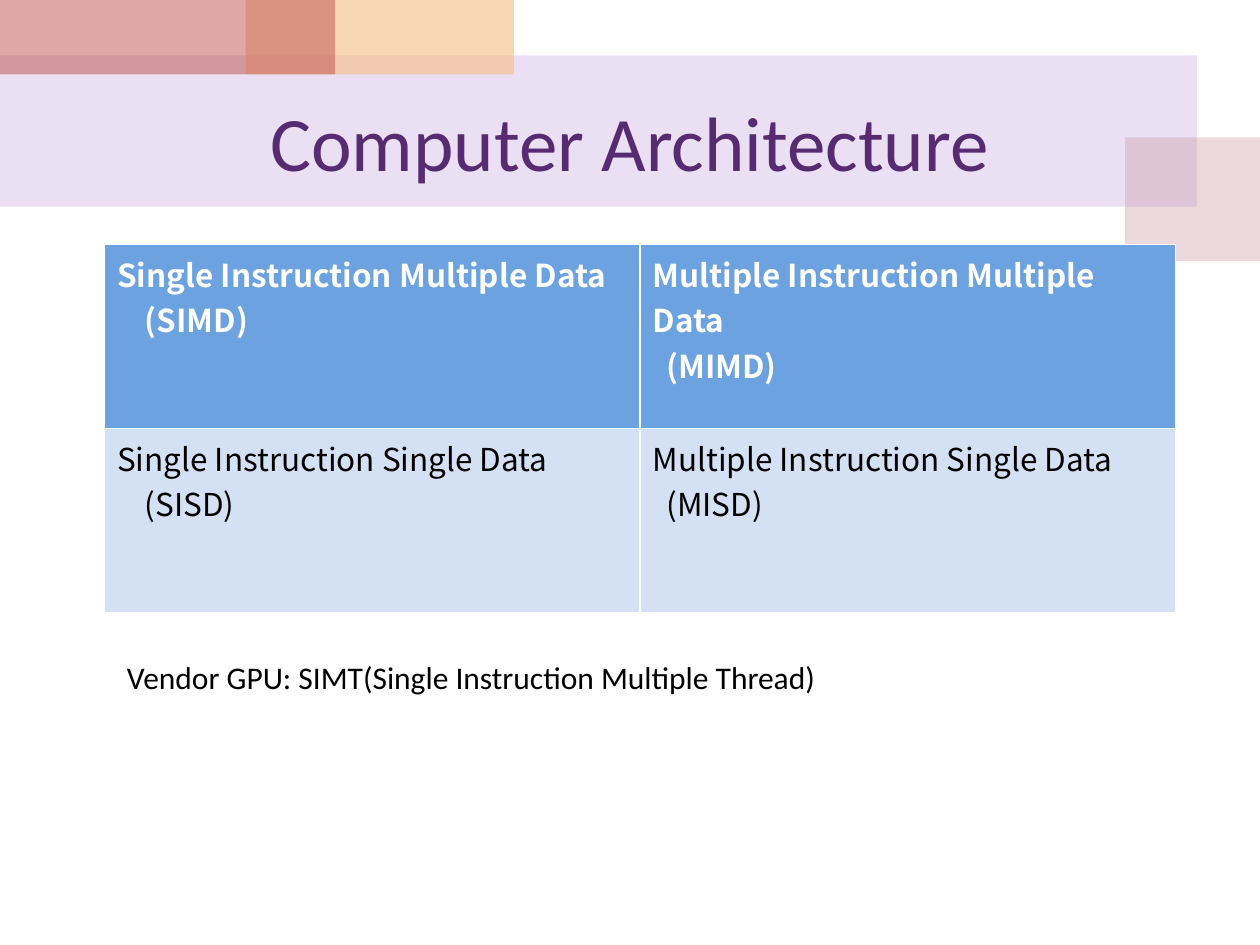
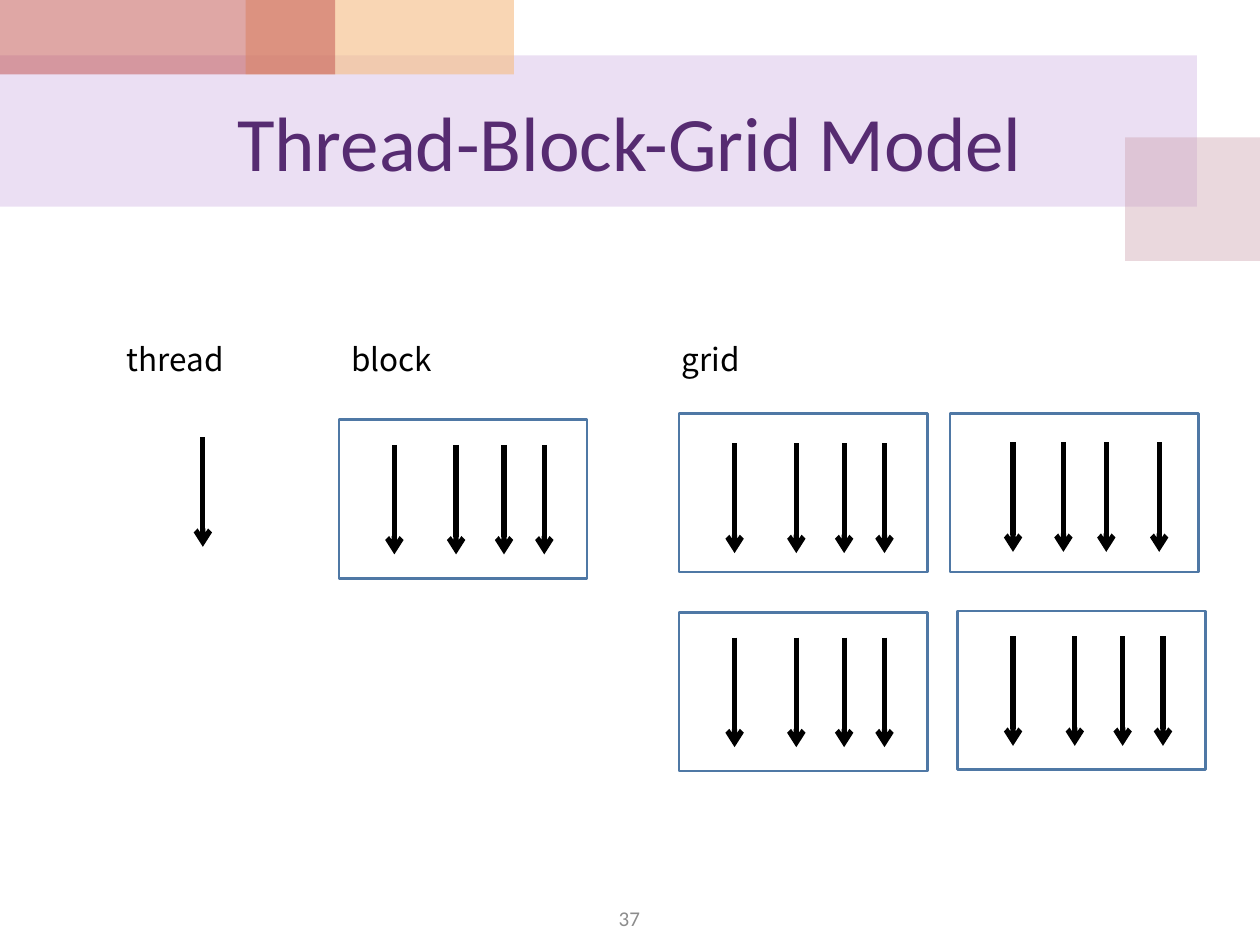
from dataclasses import dataclass

from lxml import etree
from pptx import Presentation
from pptx.dml.color import RGBColor
from pptx.enum.shapes import MSO_CONNECTOR, MSO_SHAPE
from pptx.enum.text import MSO_ANCHOR, PP_ALIGN
from pptx.oxml.ns import qn
from pptx.util import Inches, Pt


@dataclass(frozen=True)
class Theme:
    latin: str = "Calibri"
    body: str = "Noto Sans CJK KR"
    title_size: int = 44
    text_size: int = 18
    footer_size: int = 12
    title: str = "562B71"
    text: str = "000000"
    footer: str = "8C8C8C"
    white: str = "FFFFFF"
    header_fill: str = "6BA2DF"
    cell_fill: str = "D4E0F3"
    block_line: str = "4F78A5"
    lilac: str = "BF98D8"
    rose: str = "CC9EAC"
    peach: str = "F5BC83"
    red: str = "C0504D"


theme = Theme()


def write(para, text, font=theme.body, size=theme.text_size, color=theme.text,
          bold=False, align=PP_ALIGN.LEFT, indent=0):
    para.alignment = align
    if indent:
        para._p.get_or_add_pPr().set("marL", str(Inches(indent)))
    span = para.add_run()
    span.text = text
    span.font.name = font
    span.font.size = Pt(size)
    span.font.bold = bold
    span.font.color.rgb = RGBColor.from_string(color)


def add_arrow(page, x, top, length=0.87):
    arrow = page.shapes.add_connector(
        MSO_CONNECTOR.STRAIGHT, Inches(x), Inches(top), Inches(x), Inches(top + length))
    arrow.line.width = Pt(3)
    arrow.line.color.rgb = RGBColor.from_string(theme.text)
    etree.SubElement(arrow.line._get_or_add_ln(), qn("a:tailEnd"), type="arrow")
    etree.SubElement(arrow.element.spPr, qn("a:effectLst"))


deck = Presentation()
deck.slide_width, deck.slide_height = Inches(10), Inches(7.5)
title_only = deck.slide_layouts[5]

# Titles
pages = []
for heading in ("Computer Architecture", "Thread-Block-Grid Model"):
    page = deck.slides.add_slide(title_only)
    title = page.shapes.title
    title.left, title.top = Inches(0.5), Inches(0.59)
    title.width, title.height = Inches(9), Inches(1.05)
    title.text_frame.vertical_anchor = MSO_ANCHOR.MIDDLE
    write(title.text_frame.paragraphs[0], heading, font=theme.latin,
          size=theme.title_size, color=theme.title, align=PP_ALIGN.CENTER)
    pages.append(page)
architecture, model = pages

# Translucent bands: drawn once, then moved to the back of the shared layout
bands = [
    (0, 0.44, 9.5, 1.2, theme.lilac, 30),
    (8.93, 1.09, 1.07, 0.98, theme.rose, 40),
    (1.95, 0, 2.13, 0.59, theme.peach, 60),
    (0, 0, 2.66, 0.59, theme.red, 50),
]
for order, (left, top, width, height, color, opacity) in enumerate(bands):
    band = architecture.shapes.add_shape(
        MSO_SHAPE.RECTANGLE, Inches(left), Inches(top), Inches(width), Inches(height))
    band.shadow.inherit = False
    band.fill.solid()
    band.fill.fore_color.rgb = RGBColor.from_string(color)
    band.line.fill.background()
    tint = band.element.spPr.find(".//" + qn("a:srgbClr"))
    etree.SubElement(tint, qn("a:alpha"), val=str(opacity * 1000))
    band.element.nvSpPr.cNvPr.set("id", str(100 + order))
    title_only.shapes.element.insert(2 + order, band.element)

# Table of architectures; each cell holds a name and an indented acronym
architectures = [
    [("Single Instruction Multiple Data", "(SIMD)"),
     ("Multiple Instruction Multiple Data", "(MIMD)")],
    [("Single Instruction Single Data", "(SISD)"),
     ("Multiple Instruction Single Data", "(MISD)")],
]
row_styles = [(theme.header_fill, theme.white, True), (theme.cell_fill, theme.text, False)]
acronym_indents = (0.22, 0.11)
table = architecture.shapes.add_table(
    2, 2, Inches(0.83), Inches(1.94), Inches(8.5), Inches(2.92)).table
for row, (names, (fill, color, bold)) in enumerate(zip(architectures, row_styles)):
    for column, (name, acronym) in enumerate(names):
        cell = table.cell(row, column)
        cell.fill.solid()
        cell.fill.fore_color.rgb = RGBColor.from_string(fill)
        frame = cell.text_frame
        write(frame.paragraphs[0], name, color=color, bold=bold)
        write(frame.add_paragraph(), acronym, color=color, bold=bold,
              indent=acronym_indents[column])

# Blocks of four threads: left, top, arrow offsets, arrow drop
even_threads = (0.44, 0.93, 1.31, 1.63)
blocks = [
    (2.69, 3.33, even_threads, 0.2),
    (5.39, 3.28, even_threads, 0.24),
    (7.54, 3.28, (0.5, 0.9, 1.24, 1.66), 0.23),
    (5.39, 4.86, even_threads, 0.2),
    (7.6, 4.85, even_threads, 0.2),
]
add_arrow(model, 1.61, 3.47)
for left, top, offsets, drop in blocks:
    block = model.shapes.add_shape(
        MSO_SHAPE.RECTANGLE, Inches(left), Inches(top), Inches(1.97), Inches(1.26))
    block.shadow.inherit = False
    block.fill.background()
    block.line.width = Pt(1.5)
    block.line.color.rgb = RGBColor.from_string(theme.block_line)
    for offset in offsets:
        add_arrow(model, left + offset, top + drop)

# Labels, note and slide number
footer_format = dict(font=theme.latin, size=theme.footer_size, color=theme.footer,
                     align=PP_ALIGN.CENTER)
labels = [
    (architecture, "Vendor GPU: SIMT(Single Instruction Multiple Thread)",
     0.91, 5.17, 8.27, 0.4, dict(font=theme.latin)),
    (model, "thread", 0.91, 2.65, 1.5, 0.4, {}),
    (model, "block", 2.69, 2.65, 1.97, 0.4, {}),
    (model, "grid", 5.31, 2.65, 3.7, 0.4, {}),
    (model, "37", 3.83, 7.15, 2.33, 0.27, footer_format),
]
for page, text, left, top, width, height, text_format in labels:
    box = page.shapes.add_textbox(Inches(left), Inches(top), Inches(width), Inches(height))
    box.text_frame.word_wrap = True
    if text_format is footer_format:
        box.text_frame.vertical_anchor = MSO_ANCHOR.MIDDLE
    write(box.text_frame.paragraphs[0], text, **text_format)

deck.save("out.pptx")
